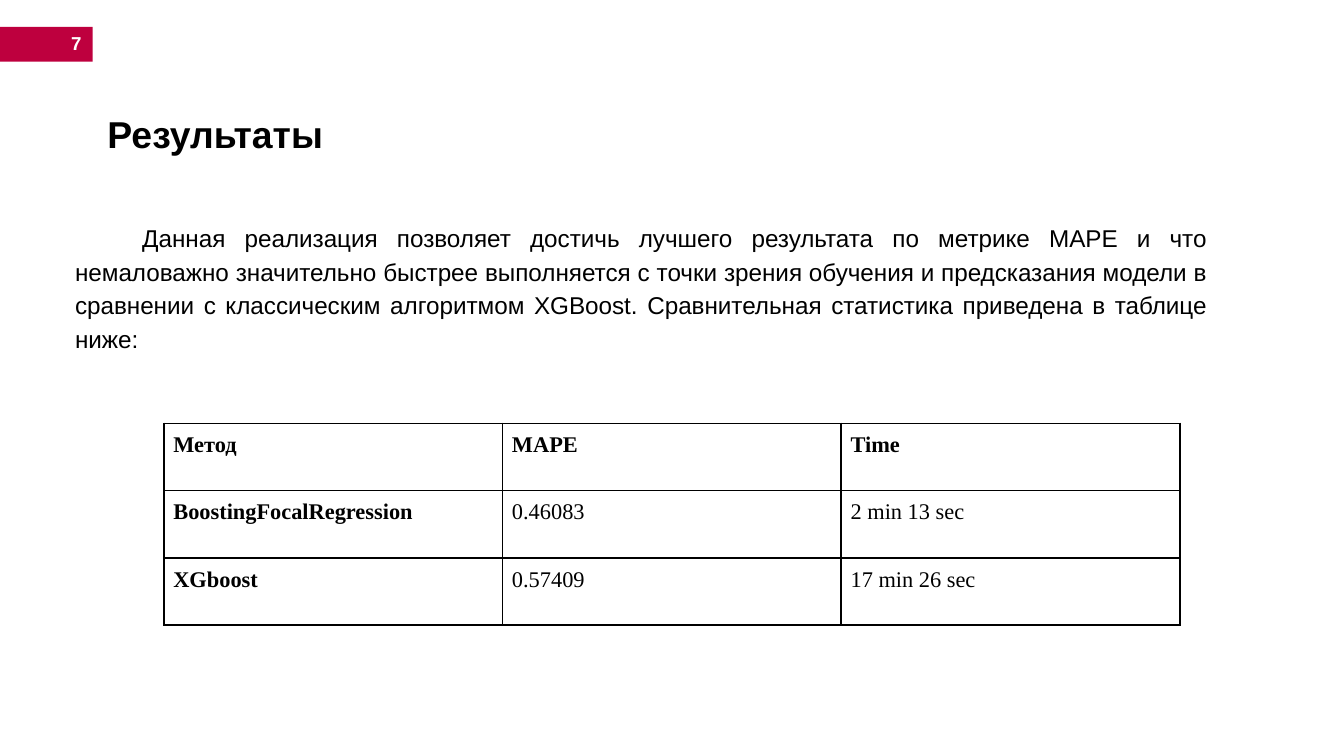
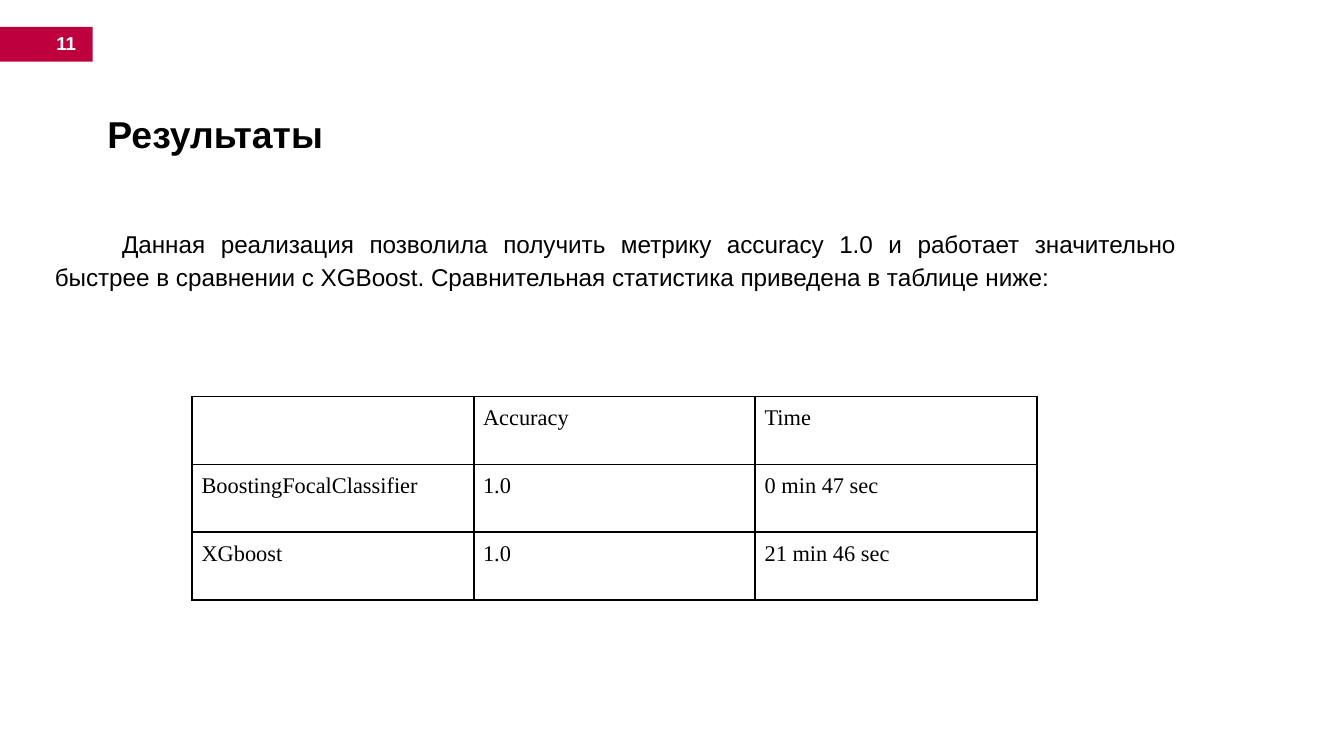
import pptx
import pptx.util
import pptx.dml.color
import pptx.enum.shapes
import pptx.enum.text
import pptx.oxml
import pptx.oxml.ns

COLS, ROWS = 100, 56.25
UNIT = pptx.util.Inches(0.1)
CRIMSON, WHITE, BLACK = "BE003E", "FFFFFF", "000000"
SANS, SERIF = "Arial", "Times New Roman"
ALIGN = pptx.enum.text.PP_ALIGN
ANCHOR = pptx.enum.text.MSO_ANCHOR


def grid(*values):
    return [round(v * UNIT) for v in values]


def color(value):
    return pptx.dml.color.RGBColor.from_string(value)


def style(p, size, name=SANS, bold=False, ink=BLACK):
    p.font.size = pptx.util.Pt(size)
    p.font.name = name
    p.font.bold = bold
    p.font.color.rgb = color(ink)


def set_margins(target, x, y):
    target.margin_left = target.margin_right = round(x * UNIT)
    target.margin_top = target.margin_bottom = round(y * UNIT)


def add_text(s, text, box, margins, size, anchor=ANCHOR.TOP, **font):
    tf = s.shapes.add_textbox(*grid(*box)).text_frame
    tf.word_wrap = True
    tf.vertical_anchor = anchor
    set_margins(tf, *margins)
    p = tf.paragraphs[0]
    p.text = text
    style(p, size, **font)
    return p


def add_page_mark(s, number, left, width):
    band = s.shapes.add_shape(
        pptx.enum.shapes.MSO_SHAPE.RECTANGLE, *grid(0, 2, 6.9, 2.6))
    band.shadow.inherit = False
    band.fill.solid()
    band.fill.fore_color.rgb = color(CRIMSON)
    band.line.fill.background()
    add_text(s, str(number), (left, 2, width, 2.4), (0.7, 0.4), 10,
             bold=True, ink=WHITE)


def add_title(s, text):
    add_text(s, text, (8, 8.2, 80.3, 3.5), (0, 0), 20,
             anchor=ANCHOR.MIDDLE, bold=True)


def add_body(s, text, box):
    p = add_text(s, text, box, (1, 1), 13)
    p.alignment = ALIGN.JUSTIFY
    p.line_spacing = 1.15
    pPr = p._p.get_or_add_pPr()
    pPr.set("marL", "0")
    pPr.set("indent", str(5 * UNIT))


def add_borders(cell):
    tcPr = cell._tc.get_or_add_tcPr()
    for side in ("lnL", "lnR", "lnT", "lnB"):
        tcPr.append(pptx.oxml.parse_xml(
            f'<a:{side} {pptx.oxml.ns.nsdecls("a")} w="{pptx.util.Pt(1)}">'
            f'<a:solidFill><a:srgbClr val="{BLACK}"/></a:solidFill></a:{side}>'))


def add_results(s, rows, left, top, col_width, row_height=5, bold_heads=False):
    n_rows, n_cols = len(rows), len(rows[0])
    table = s.shapes.add_table(n_rows, n_cols, *grid(
        left, top, n_cols * col_width, n_rows * row_height)).table
    table.first_row = table.horz_banding = False
    for i, row in enumerate(rows):
        for j, text in enumerate(row):
            cell = table.cell(i, j)
            set_margins(cell, 0.7, 0.7)
            add_borders(cell)
            cell.fill.background()
            p = cell.text_frame.paragraphs[0]
            p.text = text
            style(p, 12, SERIF, bold=bold_heads and 0 in (i, j))


def add_slide(prs, number, left, width):
    s = prs.slides.add_slide(prs.slide_layouts[6])
    add_page_mark(s, number, left, width)
    add_title(s, "Результаты")
    return s


def main():
    prs = pptx.Presentation()
    prs.slide_width, prs.slide_height = grid(COLS, ROWS)

    s = add_slide(prs, 7, 4.6, 2.2)
    add_body(s, "Данная реализация позволяет достичь лучшего результата по метрике "
             "MAPE и что немаловажно значительно быстрее выполняется с точки зрения "
             "обучения и предсказания модели в сравнении с классическим алгоритмом "
             "XGBoost. Сравнительная статистика приведена в таблице ниже:",
             (4.6, 15.3, 86.1, 11.8))
    add_results(s, [("Метод", "MAPE", "Time"),
                    ("BoostingFocalRegression", "0.46083", "2 min 13 sec"),
                    ("XGboost", "0.57409", "17 min 26 sec")],
                12.2, 31.5, 25.2, bold_heads=True)

    s = add_slide(prs, 11, 3.5, 4.1)
    add_body(s, "Данная реализация позволила получить метрику accuracy 1.0 и работает "
             "значительно быстрее в сравнении с XGBoost. Сравнительная статистика "
             "приведена в таблице ниже:", (3.1, 15.7, 85.3, 6.7))
    add_results(s, [("", "Accuracy", "Time"),
                    ("BoostingFocalClassifier", "1.0", "0 min 47 sec"),
                    ("XGboost", "1.0", "21 min 46 sec")],
                14.3, 29.5, 20.95, row_height=5.05)

    prs.save("out.pptx")


if __name__ == "__main__":
    main()
